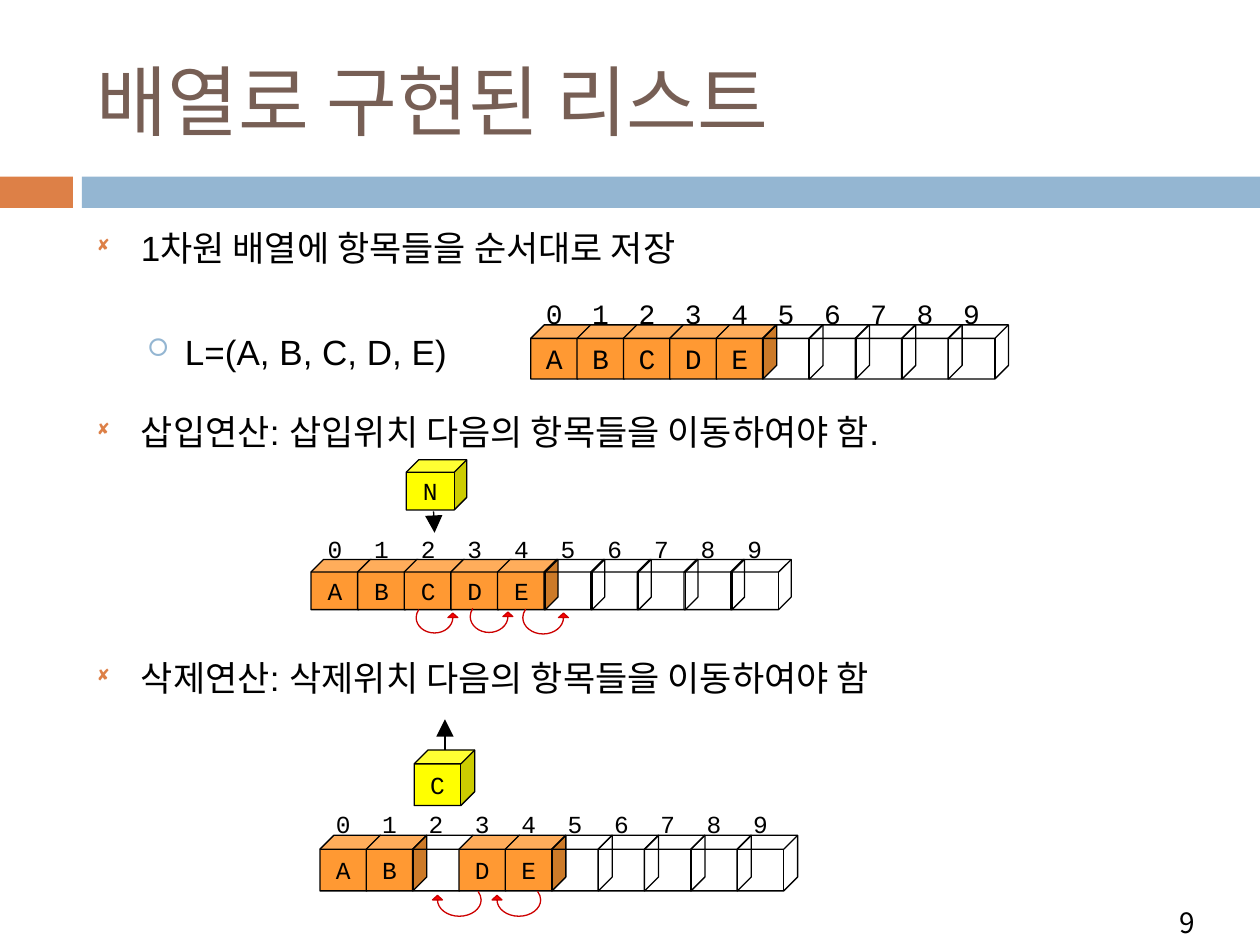
from dataclasses import dataclass

from lxml import etree
from pptx import Presentation
from pptx.dml.color import RGBColor
from pptx.enum.shapes import MSO_CONNECTOR, MSO_SHAPE
from pptx.enum.text import MSO_ANCHOR, PP_ALIGN
from pptx.oxml.ns import qn
from pptx.util import Cm, Pt

RECTANGLE = MSO_SHAPE.RECTANGLE
CUBE = MSO_SHAPE.CUBE
STRAIGHT = MSO_CONNECTOR.STRAIGHT
MIDDLE = MSO_ANCHOR.MIDDLE
TOP = MSO_ANCHOR.TOP
LEFT = PP_ALIGN.LEFT
CENTER = PP_ALIGN.CENTER
RIGHT = PP_ALIGN.RIGHT


@dataclass(frozen=True)
class Theme:
    orange: str = "DD8047"
    blue: str = "94B6D2"
    brown: str = "775F55"
    black: str = "000000"
    filled: str = "FF9933"
    moved: str = "FFFF00"
    arc_fill: str = "FF0000"
    arc_line: str = "CC0000"
    title_size: int = 44
    body_size: int = 20
    number_size: int = 16
    line_width: float = 0.75
    line_height: int = 28
    title_font: str = "Calibri"
    body_font: str = "Arial"
    cell_font: str = "Courier New"
    number_font: str = "Noto Sans CJK KR"
    bullet_font: str = "Wingdings"


@dataclass(frozen=True)
class Bullet:
    text: str
    mark: str
    color: str
    scale: int
    margin: float
    hanging: float
    before: float


@dataclass(frozen=True)
class ArrayRow:
    left: float
    top: float
    index_top: float
    height: float
    reach: float
    items: str
    size: int


@dataclass(frozen=True)
class MovedCell:
    letter: str
    left: float
    top: float
    arrow: tuple[float, float, float, float]


@dataclass(frozen=True)
class Arc:
    x: float
    y: float
    radius_x: float
    radius_y: float
    direction: int


@dataclass(frozen=True)
class Diagram:
    row: ArrayRow
    moved: tuple[MovedCell, ...] = ()
    arcs: tuple[Arc, ...] = ()


THEME = Theme()
CELL_WIDTH = 1.22
CELL_COUNT = 10
SWEEP = (
    (1, 0), (1, 0.55), (0.55, 1), (0, 1), (-0.55, 1), (-1, 0.55), (-1, 0),
    (-1, -0.17), (-0.95, -0.34), (-0.87, -0.5),
)
SEGMENTS = "CCCLCCCLLLL"

BULLETS = (
    Bullet("1차원 배열에 항목들을 순서대로 저장", "◻", THEME.orange, 60, 0.89, 0.89, 0),
    Bullet("L=(A, B, C, D, E)", "□", THEME.blue, 70, 1.78, 0.76, 31),
    Bullet("삽입연산: 삽입위치 다음의 항목들을 이동하여야 함.", "◻", THEME.orange, 60, 0.89, 0.89, 18),
    Bullet("삭제연산: 삭제위치 다음의 항목들을 이동하여야 함", "◻", THEME.orange, 60, 0.89, 0.89, 112.5),
)

DIAGRAMS = (
    Diagram(ArrayRow(10.7, 6.55, 5.64, 1.09, 8.41, "ABCDE", 16)),
    Diagram(
        ArrayRow(6.27, 11.28, 10.43, 1.01, 8.46, "ABCDE", 14),
        (MovedCell("N", 8.19, 9.27, (8.74, 10.31, 8.76, 10.74)),),
        (
            Arc(10.95, 12.45, 0.41, 0.33, 1),
            Arc(9.86, 12.43, 0.38, 0.32, 1),
            Arc(8.76, 12.45, 0.37, 0.31, 1),
        ),
    ),
    Diagram(
        ArrayRow(6.45, 16.84, 15.9, 1.12, 8.41, "AB DE", 14),
        (MovedCell("C", 8.35, 15.12, (8.97, 15.11, 8.97, 14.5)),),
        (Arc(9.26, 18.14, 0.44, 0.33, -1), Arc(10.46, 18.14, 0.44, 0.33, -1)),
    ),
)


def color(value: str) -> RGBColor:
    return RGBColor.from_string(value)


def add_span(para, text: str, size: float, font: str, ink: str) -> None:
    span = para.add_run()
    span.text = text
    span.font.size = Pt(size)
    span.font.name = font
    span.font.color.rgb = color(ink)


def style_line(line, ink: str) -> None:
    line.color.rgb = color(ink)
    line.width = Pt(THEME.line_width)


def add_text(page, left: float, top: float, width: float, height: float, anchor=TOP):
    frame = page.shapes.add_textbox(Cm(left), Cm(top), Cm(width), Cm(height)).text_frame
    frame.word_wrap = True
    frame.vertical_anchor = anchor
    return frame


def add_band(page, left: float, width: float, fill: str) -> None:
    band = page.shapes.add_shape(RECTANGLE, Cm(left), Cm(3.56), Cm(width), Cm(0.63))
    band.shadow.inherit = False
    band.fill.solid()
    band.fill.fore_color.rgb = color(fill)
    band.line.fill.background()


def add_bullet(para, bullet: Bullet) -> None:
    para.alignment = LEFT
    para.line_spacing = Pt(THEME.line_height)
    para.space_before = Pt(bullet.before)
    properties = para._p.get_or_add_pPr()
    properties.set("marL", str(Cm(bullet.margin)))
    properties.set("indent", str(-Cm(bullet.hanging)))
    ink = etree.SubElement(properties, qn("a:buClr"))
    etree.SubElement(ink, qn("a:srgbClr"), val=bullet.color)
    etree.SubElement(properties, qn("a:buSzPct"), val=str(bullet.scale * 1000))
    etree.SubElement(properties, qn("a:buFont"), typeface=THEME.bullet_font)
    etree.SubElement(properties, qn("a:buChar"), char=bullet.mark)
    add_span(para, bullet.text, THEME.body_size, THEME.body_font, THEME.black)


def add_cube(group, left: float, top: float, height: float, text: str, size: int,
             fill: str | None = None, outlined: bool = True) -> None:
    cube = group.shapes.add_shape(CUBE, Cm(left), Cm(top), Cm(CELL_WIDTH), Cm(height))
    cube.shadow.inherit = False
    if fill:
        cube.fill.solid()
        cube.fill.fore_color.rgb = color(fill)
    else:
        cube.fill.background()
    if outlined:
        style_line(cube.line, THEME.black)
    else:
        cube.line.fill.background()
    if text:
        frame = cube.text_frame
        frame.word_wrap = False
        frame.vertical_anchor = MIDDLE
        para = frame.paragraphs[0]
        para.alignment = CENTER
        add_span(para, text, size, THEME.cell_font, THEME.black)


def add_row(group, row: ArrayRow) -> None:
    lefts = [row.left + row.reach * i / (CELL_COUNT - 1) for i in range(CELL_COUNT)]
    for left, item in zip(lefts, row.items.ljust(CELL_COUNT)):
        letter = item.strip()
        add_cube(group, left, row.top, row.height, letter, row.size,
                 THEME.filled if letter else None)
    for index, left in enumerate(lefts):
        add_cube(group, left, row.index_top, row.height, str(index), row.size, outlined=False)


def add_arrow(group, ends: tuple[float, float, float, float]) -> None:
    arrow = group.shapes.add_connector(STRAIGHT, *(Cm(end) for end in ends))
    style_line(arrow.line, THEME.black)
    etree.SubElement(arrow.line._get_or_add_ln(), qn("a:tailEnd"),
                     type="triangle", w="lg", len="lg")
    etree.SubElement(arrow._element.spPr, qn("a:effectLst"))


def bend_segments(outline) -> None:
    path = next(outline._element.iter(qn("a:path")))
    lines = iter(path.findall(qn("a:lnTo")))
    for kind in SEGMENTS:
        line = next(lines)
        if kind == "C":
            line.addprevious(curve := etree.Element(qn("a:cubicBezTo")))
            for part in (line, next(lines), next(lines)):
                curve.append(part[0])
                path.remove(part)


def add_arc(group, arc: Arc) -> None:
    curve = [(arc.x + arc.direction * arc.radius_x * x, arc.y + arc.radius_y * y)
             for x, y in SWEEP]
    tip_x = curve[0][0]
    head = [(tip_x + 0.1, arc.y), (tip_x, arc.y - 0.09), (tip_x - 0.1, arc.y), curve[0]]
    points = [(Cm(x), Cm(y)) for x, y in curve + curve[::-1] + head]
    builder = group.shapes.build_freeform(*points[0])
    builder.add_line_segments(points[1:], close=True)
    outline = builder.convert_to_shape()
    bend_segments(outline)
    outline.shadow.inherit = False
    outline.fill.solid()
    outline.fill.fore_color.rgb = color(THEME.arc_fill)
    style_line(outline.line, THEME.arc_line)


def add_diagram(page, diagram: Diagram) -> None:
    group = page.shapes.add_group_shape()
    row = diagram.row
    add_row(group, row)
    for cell in diagram.moved:
        add_cube(group, cell.left, cell.top, row.height, cell.letter, row.size, THEME.moved)
        add_arrow(group, cell.arrow)
    for arc in diagram.arcs:
        add_arc(group, arc)


def main() -> None:
    deck = Presentation()
    deck.slide_width, deck.slide_height = Cm(25.4), Cm(19.05)
    page = deck.slides.add_slide(deck.slide_layouts[6])
    add_band(page, 0, 1.47, THEME.orange)
    add_band(page, 1.65, 23.75, THEME.blue)
    number = add_text(page, 22.2, 18.14, 2.13, 0.94).paragraphs[0]
    number.alignment = RIGHT
    add_span(number, "9", THEME.number_size, THEME.number_font, THEME.black)
    title = add_text(page, 1.7, 0.64, 22.66, 2.74, MIDDLE).paragraphs[0]
    add_span(title, "배열로 구현된 리스트", THEME.title_size, THEME.title_font, THEME.brown)
    body = add_text(page, 1.7, 4.43, 22.66, 12.5)
    body.margin_top = Cm(0)
    for position, bullet in enumerate(BULLETS):
        add_bullet(body.add_paragraph() if position else body.paragraphs[0], bullet)
    for diagram in DIAGRAMS:
        add_diagram(page, diagram)
    deck.save("out.pptx")


if __name__ == "__main__":
    main()
